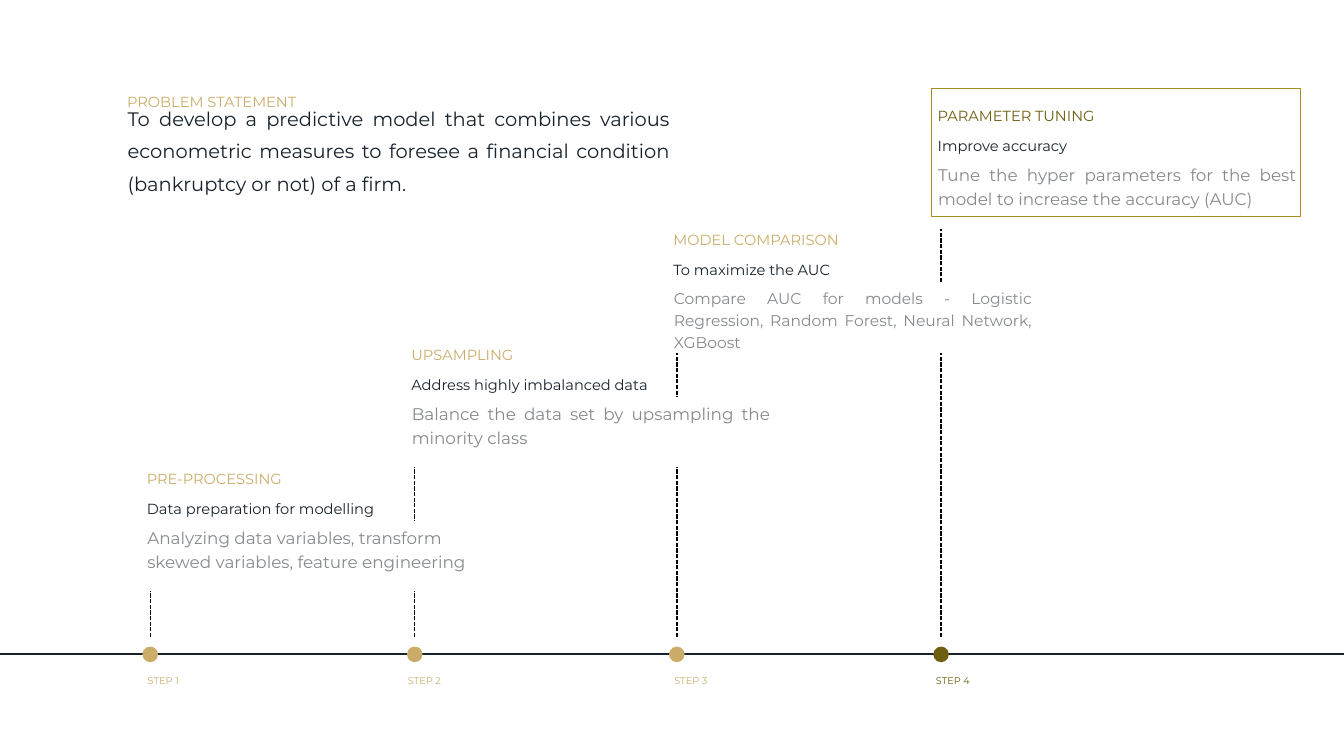
from pptx import Presentation
from pptx.dml.color import RGBColor
from pptx.enum.dml import MSO_LINE
from pptx.enum.shapes import MSO_CONNECTOR, MSO_SHAPE
from pptx.enum.text import MSO_ANCHOR, MSO_AUTO_SIZE, PP_ALIGN
from pptx.oxml.ns import qn
from pptx.util import Inches, Pt
from lxml.etree import SubElement

GOLD, OLIVE, NAVY, GREY = "CBAD69", "6E5E11", "17222C", "868A8D"
LEFT, JUSTIFY = PP_ALIGN.LEFT, PP_ALIGN.JUSTIFY

deck = Presentation()
deck.slide_width, deck.slide_height = Inches(26.67), Inches(15)
page = deck.slides.add_slide(deck.slide_layouts[5])
column, row = deck.slide_width / 100, deck.slide_height / 100
color = RGBColor.from_string


def place(left, top, width, height):
    return [round(left * column), round(top * row), round(width * column), round(height * row)]


def write(box, lines, size, raised=0, spacing=1.0, align=LEFT, anchor=MSO_ANCHOR.MIDDLE,
          inset=4.5, fit=MSO_AUTO_SIZE.SHAPE_TO_FIT_TEXT):
    frame = box.text_frame
    frame.word_wrap, frame.vertical_anchor, frame.auto_size = True, anchor, fit
    frame.margin_left = frame.margin_right = frame.margin_top = frame.margin_bottom = Pt(inset)
    for index, (text, ink) in enumerate(lines):
        para = frame.add_paragraph() if index else frame.paragraphs[0]
        para.alignment, para.line_spacing = align, spacing
        span = para.add_run()
        span.text = text
        span.font.name, span.font.size = "Montserrat", Pt(size)
        span.font.color.rgb = color(ink)
        if raised:
            span.font._element.set("baseline", str(raised * 1000))


title = page.shapes.title
title.left, title.top, title.width, title.height = place(9.22, 12.67, 30.75, 3.47)
write(title, [("PROBLEM STATEMENT", GOLD)], 36, raised=50)

axis_row = 86.53
axis = page.shapes.add_connector(MSO_CONNECTOR.STRAIGHT, 0, round(axis_row * row),
                                 deck.slide_width, round(axis_row * row))
axis.line.color.rgb, axis.line.width = color(NAVY), Pt(2)
SubElement(axis._element.spPr, qn("a:effectLst"))

steps = [
    ("STEP 4", 70.02, 69.4, 14.8, OLIVE, "PARAMETER TUNING", "Improve accuracy",
     "Tune the hyper parameters for the best model to increase the accuracy (AUC)", 24, JUSTIFY),
    ("STEP 3", 50.36, 49.94, 31.2, GOLD, "MODEL COMPARISON", "To maximize the AUC",
     "Compare AUC for models - Logistic Regression, Random Forest, Neural Network, XGBoost",
     22.2, JUSTIFY),
    ("STEP 2", 30.86, 30.11, 46.33, GOLD, "UPSAMPLING", "Address highly imbalanced data",
     "Balance the data set by upsampling the minority class", 24, JUSTIFY),
    ("STEP 1", 11.18, 10.76, 62.73, GOLD, "PRE-PROCESSING", "Data preparation for modelling",
     "Analyzing data variables, transform skewed variables, feature engineering", 24, LEFT),
]
dot_width, dot_height = 1.16, 2.07
for name, center, label_left, top, accent, heading, goal, detail, size, align in steps:
    detail_top = top + 6.2
    x = round(center * column)
    stem = page.shapes.add_connector(MSO_CONNECTOR.STRAIGHT, x, round(84.27 * row),
                                     x, round((detail_top + 7.6) * row))
    stem.line.color.rgb, stem.line.width = color("000000"), Pt(2)
    stem.line.dash_style = MSO_LINE.SQUARE_DOT
    SubElement(stem._element.spPr, qn("a:effectLst"))

    dot = page.shapes.add_shape(MSO_SHAPE.OVAL, *place(
        center - dot_width / 2, axis_row - dot_height / 2 + 0.03, dot_width, dot_height))
    dot.shadow.inherit = False
    dot.fill.solid()
    dot.fill.fore_color.rgb = color(accent)
    dot.line.fill.background()

    label = page.shapes.add_textbox(*place(label_left, 90, 4.39, dot_height))
    write(label, [(name, accent)], 24, raised=50, spacing=0.7)

    panel = page.shapes.add_shape(MSO_SHAPE.RECTANGLE, *place(center - 0.38, detail_top, 26.96, 9.27))
    panel.shadow.inherit = False
    panel.fill.solid()
    panel.fill.fore_color.rgb = color("FFFFFF")
    panel.line.fill.background()
    write(panel, [(detail, GREY)], size, spacing=1.2, align=align, anchor=MSO_ANCHOR.TOP,
          inset=3, fit=MSO_AUTO_SIZE.NONE)

    header = page.shapes.add_textbox(*place(center - 0.49, top, 21.33, 6.13))
    write(header, [(heading, accent), (goal, NAVY)], 36, raised=33)

statement = page.shapes.add_textbox(*place(9.26, 15.53, 40.83, 9.47))
write(statement, [("To develop a predictive model that combines various econometric measures "
                   "to foresee a financial condition (bankruptcy or not) of a firm.", NAVY)],
      48, raised=12, spacing=0.8, align=JUSTIFY)

highlight = page.shapes.add_shape(MSO_SHAPE.RECTANGLE, *place(69.25, 11.67, 27.48, 16.93))
highlight.shadow.inherit = False
highlight.fill.background()
highlight.line.color.rgb, highlight.line.width = color("A58E1A"), Pt(0.25)

deck.save("out.pptx")
